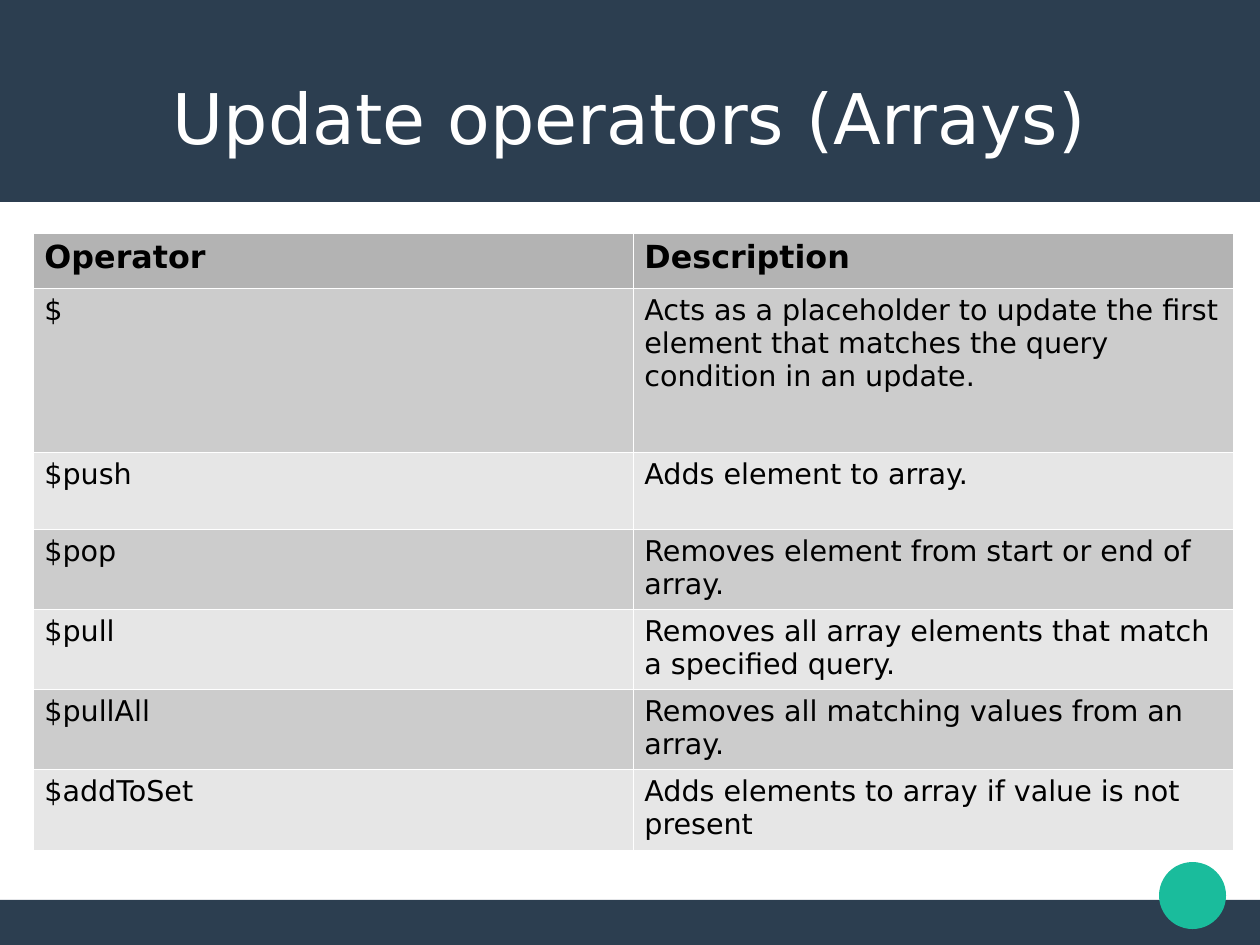
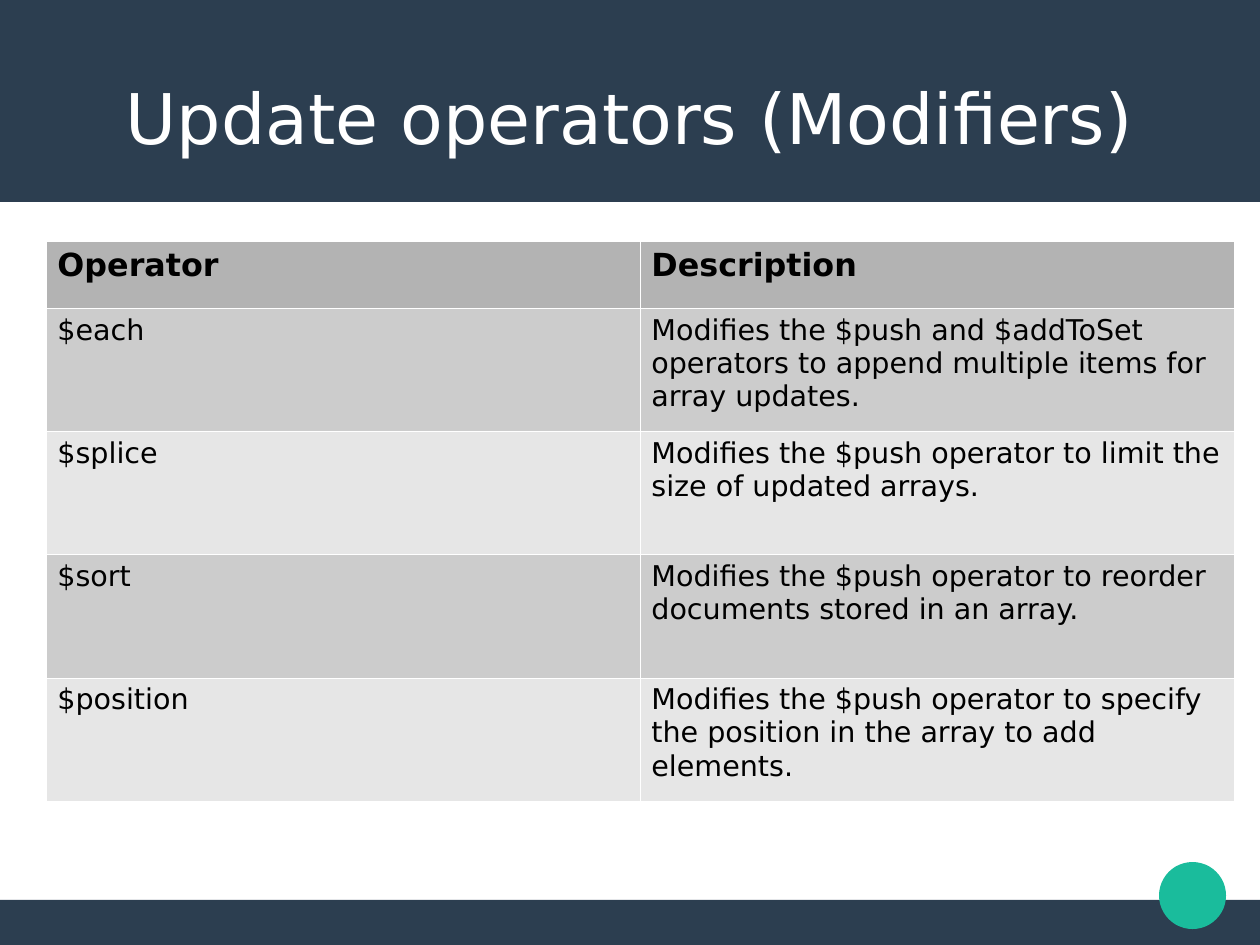
from lxml.etree import SubElement
from pptx import Presentation
from pptx.dml.color import RGBColor
from pptx.enum.shapes import MSO_SHAPE
from pptx.enum.text import MSO_ANCHOR, PP_ALIGN
from pptx.oxml.ns import qn
from pptx.util import Pt

SCALE = 8000
SLIDE_SIZE = (1260, 945)
COLORS = {
    "band": "2C3E50", "accent": "1ABC9C", "white": "FFFFFF", "black": "000000",
    "header": "B3B3B3", "odd": "CCCCCC", "even": "E6E6E6",
}
FONT = "DejaVu Sans"
TITLE_FONT = {"name": FONT, "size": Pt(44), "bold": False}
HEADER_FONT = {"name": FONT, "size": Pt(20), "bold": True}
BODY_FONT = {"name": FONT, "size": Pt(18), "bold": False}
TITLE_FRAME = {
    "word_wrap": True, "vertical_anchor": MSO_ANCHOR.MIDDLE,
    "margin_left": 0, "margin_top": 0, "margin_right": 0, "margin_bottom": 0,
}
PLAIN_TABLE = {"first_row": False, "horz_banding": False}
BORDER_WIDTH = Pt(0.06)

HEADINGS = ("Operator", "Description")
SLIDES = [
    {
        "title": "Update operators (Arrays)",
        "box": (33, 233, 1200, 606),
        "top_rows": [55, 164],
        "operators": [
            ("$", "Acts as a placeholder to update the first element that "
                  "matches the query condition in an update."),
            ("$push", "Adds element to array."),
            ("$pop", "Removes element from start or end of array."),
            ("$pull", "Removes all array elements that match a specified query."),
            ("$pullAll", "Removes all matching values from an array."),
            ("$addToSet", "Adds elements to array if value is not present"),
        ],
    },
    {
        "title": "Update operators (Modifiers)",
        "box": (46, 241, 1188, 560),
        "top_rows": [67],
        "operators": [
            ("$each", "Modifies the $push and $addToSet operators to append "
                      "multiple items for array updates."),
            ("$splice", "Modifies the $push operator to limit the size of updated arrays."),
            ("$sort", "Modifies the $push operator to reorder documents stored in an array."),
            ("$position", "Modifies the $push operator to specify the position "
                          "in the array to add elements."),
        ],
    },
]


def emu(*pixels):
    """Turn pixel lengths into EMU."""
    return [round(length * SCALE) for length in pixels]


def color(name):
    """Return a palette colour."""
    return RGBColor.from_string(COLORS[name])


def apply(target, values):
    """Set each named attribute on the target."""
    for name, value in values.items():
        setattr(target, name, value)


def write(frame, text, font, color_name, align=PP_ALIGN.LEFT):
    """Put one formatted run into a text frame."""
    paragraph = frame.paragraphs[0]
    paragraph.alignment = align
    run = paragraph.add_run()
    run.text = text
    apply(run.font, font)
    run.font.color.rgb = color(color_name)


def add_block(slide, preset, box, color_name):
    """Add a flat filled shape without outline or shadow."""
    block = slide.shapes.add_shape(preset, *emu(*box))
    block.shadow.inherit = False
    block.fill.solid()
    block.fill.fore_color.rgb = color(color_name)
    block.line.fill.background()


def add_backdrop(slide, box):
    """Draw the footer band, title band and accent dot inside the slide box."""
    left, top, width, height = box
    bottom, right = top + height, left + width
    add_block(slide, MSO_SHAPE.RECTANGLE, (left, bottom - 45, width, 45), "band")
    add_block(slide, MSO_SHAPE.RECTANGLE, (left, top, width, 202), "band")
    add_block(slide, MSO_SHAPE.OVAL, (right - 101, bottom - 83, 67, 67), "accent")


def add_title(slide, box, text):
    """Centre the slide title in its box."""
    frame = slide.shapes.add_textbox(*emu(*box)).text_frame
    apply(frame, TITLE_FRAME)
    write(frame, text, TITLE_FONT, "white", PP_ALIGN.CENTER)


def add_borders(cell):
    """Give a cell thin white edges."""
    properties = cell._tc.get_or_add_tcPr()
    for position, side in enumerate(("lnL", "lnR", "lnT", "lnB")):
        edge = SubElement(properties, qn(f"a:{side}"), w=str(BORDER_WIDTH))
        SubElement(SubElement(edge, qn("a:solidFill")), qn("a:srgbClr"), val=COLORS["white"])
        properties.insert(position, edge)


def add_operator_table(slide, box, top_rows, operators):
    """Fill the box with operators, sharing the height left under the top rows."""
    rows = [HEADINGS, *operators]
    shared = len(rows) - len(top_rows)
    heights = top_rows + [(box[3] - sum(top_rows)) / shared] * shared
    table = slide.shapes.add_table(len(rows), len(HEADINGS), *emu(*box)).table
    apply(table, PLAIN_TABLE)
    for index, (texts, height) in enumerate(zip(rows, heights)):
        table.rows[index].height = emu(height)[0]
        fill = "header" if index == 0 else ("even", "odd")[index % 2]
        font = HEADER_FONT if index == 0 else BODY_FONT
        for cell, text in zip(table.rows[index].cells, texts):
            cell.fill.solid()
            cell.fill.fore_color.rgb = color(fill)
            add_borders(cell)
            write(cell.text_frame, text, font, "black")


def build_slide(deck, content):
    """Add one operator slide to the deck."""
    slide = deck.slides.add_slide(deck.slide_layouts[6])
    add_backdrop(slide, (0, 0, *SLIDE_SIZE))
    add_title(slide, (63, 38, 1134, 158), content["title"])
    add_operator_table(slide, content["box"], content["top_rows"], content["operators"])


def main():
    """Build and save the deck."""
    deck = Presentation()
    deck.slide_width, deck.slide_height = emu(*SLIDE_SIZE)
    for content in SLIDES:
        build_slide(deck, content)
    deck.save("out.pptx")


main()
